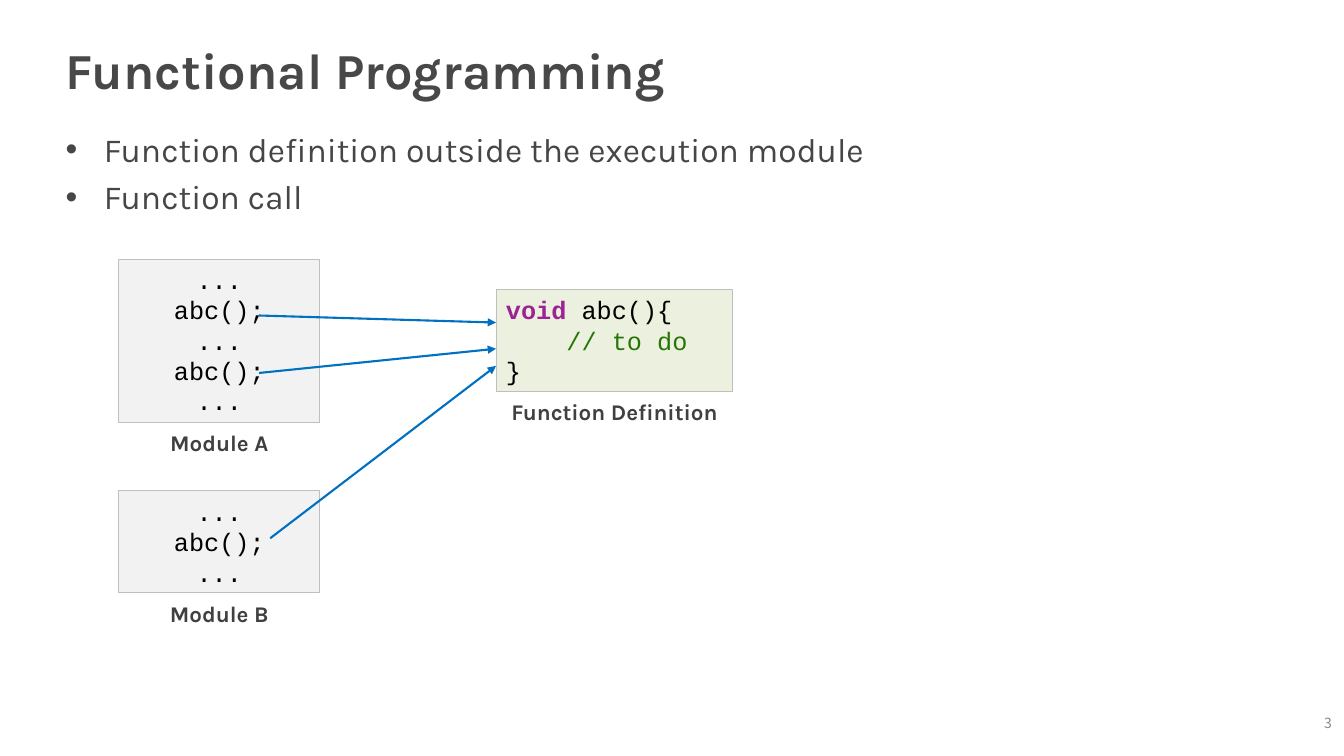
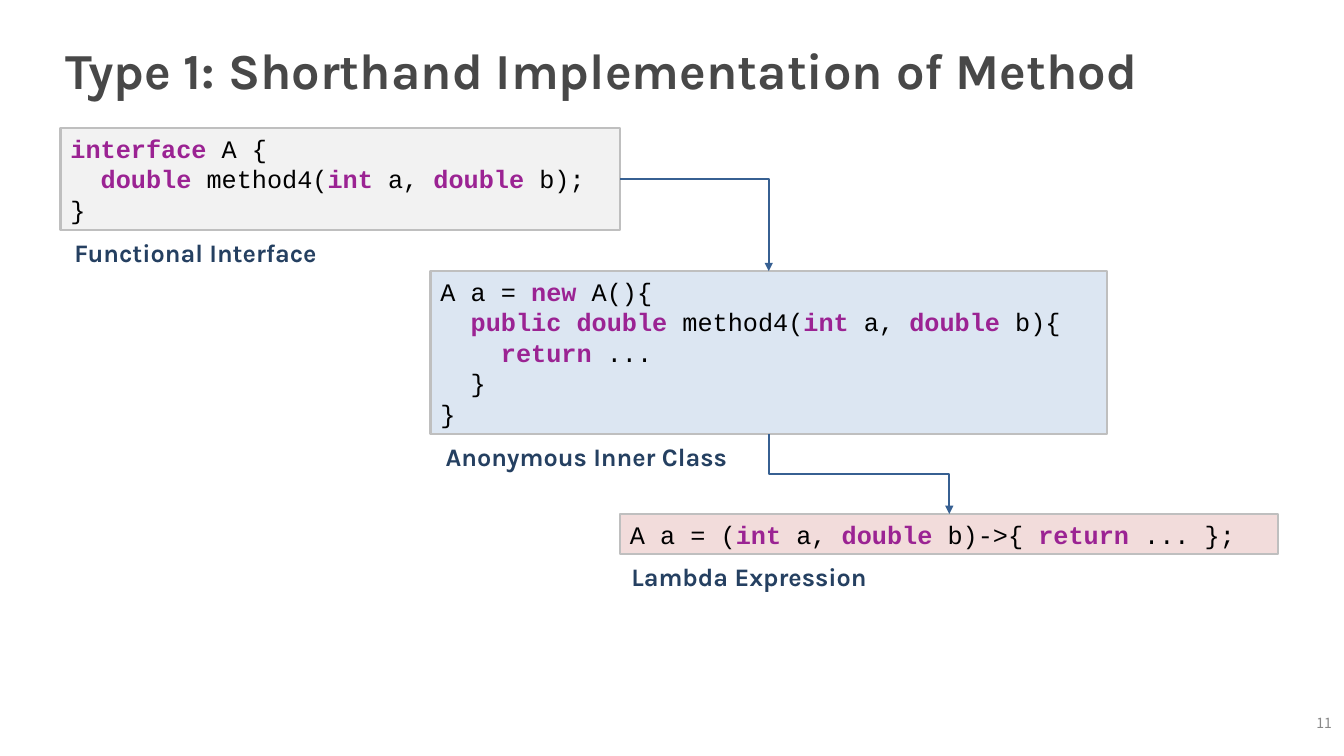
from dataclasses import dataclass
from itertools import groupby

from lxml import etree
from pptx import Presentation
from pptx.dml.color import RGBColor
from pptx.enum.shapes import MSO_CONNECTOR, MSO_SHAPE
from pptx.enum.text import MSO_ANCHOR, MSO_AUTO_SIZE, PP_ALIGN
from pptx.oxml.ns import qn
from pptx.util import Inches, Pt

LEFT, CENTER, RIGHT = PP_ALIGN.LEFT, PP_ALIGN.CENTER, PP_ALIGN.RIGHT
TOP, MIDDLE = MSO_ANCHOR.TOP, MSO_ANCHOR.MIDDLE
STRAIGHT, ELBOW = MSO_CONNECTOR.STRAIGHT, MSO_CONNECTOR.ELBOW
SIDE_TOP, SIDE_BOTTOM, SIDE_RIGHT = 0, 2, 3


@dataclass(frozen=True)
class Theme:
    text_font: str = "Karla"
    code_font: str = "Courier New"
    number_font: str = "Noto Sans CJK KR"
    title_size: float = 36
    body_size: float = 24
    code_size: float = 18
    code_leading: float = 21.7
    number_size: float = 10
    title: str = "484848"
    body: str = "464646"
    number: str = "888888"
    code: str = "000000"
    keyword: str = "9B2393"
    comment: str = "267507"
    border: str = "BFBFBF"
    gray: str = "F2F2F2"
    green: str = "EBF1DE"
    blue: str = "DCE6F2"
    red: str = "F2DCDB"
    call_arrow: str = "0070C0"
    step_arrow: str = "376092"
    arrow_width: float = 1.5


THEME = Theme()
KEYWORDS = {"void", "interface", "double", "int", "new", "public", "return"}

# Shared frame: left, top, width, height in inches
TITLE_AREA = (0.6, 0.29, 12.08, 0.79)
BODY_AREA = (0.6, 1.23, 12.08, 5.91)
NUMBER_AREA = (12.68, 7.04, 0.58, 0.27)
LABEL_GAP = 0.02

# Slide content
CALLS = {
    "title": "Functional Programming",
    "number": "3",
    "bullets": ["Function definition outside the execution module", "Function call"],
    "label": {"size": 16, "color": "404040", "height": 0.37},
    "border_width": 0.75,
    "boxes": [
        {"name": "Function Definition", "area": (4.92, 2.87, 2.35, 1.01),
         "fill": THEME.green, "align": LEFT,
         "code": ["void abc(){", "    // to do", "}"]},
        {"name": "Module A", "area": (1.18, 2.57, 1.99, 1.62),
         "fill": THEME.gray, "align": CENTER,
         "code": ["...", "abc();", "...", "abc();", "..."]},
        {"name": "Module B", "area": (1.18, 4.87, 1.99, 1.01),
         "fill": THEME.gray, "align": CENTER,
         "code": ["...", "abc();", "..."]},
    ],
}
CALL_ARROWS = [
    ((2.57, 3.13), (4.92, 3.2)),
    ((2.57, 3.7), (4.92, 3.46)),
    ((2.68, 5.34), (4.92, 3.63)),
]

SHORTHAND = {
    "title": "Type 1: Shorthand Implementation of Method",
    "number": "11",
    "bullets": [],
    "label": {"size": 18, "color": "254061", "height": 0.4},
    "border_width": 1.5,
    "boxes": [
        {"name": "Functional Interface", "area": (0.6, 1.27, 5.55, 1.01),
         "fill": THEME.gray, "align": LEFT, "label_width": 2.68,
         "code": ["interface A {", "  double method4(int a, double b);", "}"]},
        {"name": "Anonymous Inner Class", "area": (4.27, 2.69, 6.71, 1.62),
         "fill": THEME.blue, "align": LEFT, "label_width": 3.09,
         "code": ["A a = new A(){",
                  "  public double method4(int a, double b){",
                  "    return ...", "  }", "}"]},
        {"name": "Lambda Expression", "area": (6.15, 5.1, 6.53, 0.4),
         "fill": THEME.red, "align": LEFT, "label_width": 2.56,
         "code": ["A a = (int a, double b)->{ return ... };"]},
    ],
}


def inches(values):
    return [Inches(value) for value in values]


def style_font(font, name, size, color, bold=False):
    font.name, font.size, font.bold = name, Pt(size), bold
    font.color.rgb = RGBColor.from_string(color)


def set_frame(text_frame, anchor, side_inset=0.05, wrap=True):
    text_frame.auto_size = MSO_AUTO_SIZE.NONE
    text_frame.word_wrap = wrap
    text_frame.vertical_anchor = anchor
    text_frame.margin_left = text_frame.margin_right = Inches(side_inset)
    text_frame.margin_top = text_frame.margin_bottom = Inches(0.05)


def place(shape, area):
    shape.left, shape.top, shape.width, shape.height = inches(area)


def write_line(text_frame, text, align, *font_style):
    text_frame.text = text
    paragraph = text_frame.paragraphs[0]
    paragraph.alignment = align
    style_font(paragraph.runs[0].font, *font_style)


def add_text(slide, area, text, align, wrap, *font_style):
    box = slide.shapes.add_textbox(*inches(area))
    set_frame(box.text_frame, MIDDLE, wrap=wrap)
    write_line(box.text_frame, text, align, *font_style)


def fill_bullets(body, bullets):
    place(body, BODY_AREA)
    set_frame(body.text_frame, TOP)
    body.text_frame.text = "\n".join(bullets)
    for index, paragraph in enumerate(body.text_frame.paragraphs):
        properties = paragraph._p.get_or_add_pPr()
        properties.set("marL", str(Inches(0.38)))
        properties.set("indent", str(-Inches(0.38)))
        etree.SubElement(properties, qn("a:buChar"), char="•")
        paragraph.space_before = Pt(5 if index else 0)
        style_font(paragraph.runs[0].font, THEME.text_font, THEME.body_size, THEME.body)


def split_code(line):
    """Yield (text, color, bold) for each part of a line of code."""
    if line.lstrip().startswith("//"):
        yield line, THEME.comment, False
        return
    for _, letters in groupby(line, key=str.isalnum):
        word = "".join(letters)
        is_keyword = word in KEYWORDS
        yield word, THEME.keyword if is_keyword else THEME.code, is_keyword


def add_code_box(slide, box, border_width):
    shape = slide.shapes.add_shape(MSO_SHAPE.RECTANGLE, *inches(box["area"]))
    shape.shadow.inherit = False
    shape.fill.solid()
    shape.fill.fore_color.rgb = RGBColor.from_string(box["fill"])
    shape.line.color.rgb = RGBColor.from_string(THEME.border)
    shape.line.width = Pt(border_width)
    set_frame(shape.text_frame, TOP, side_inset=0.1)
    shape.text_frame.text = "\n".join(box["code"])
    for paragraph, line in zip(shape.text_frame.paragraphs, box["code"]):
        paragraph.alignment = box["align"]
        paragraph.line_spacing = Pt(THEME.code_leading)
        paragraph.clear()
        for text, color, bold in split_code(line):
            run = paragraph.add_run()
            run.text = text
            style_font(run.font, THEME.code_font, THEME.code_size, color, bold)
    return shape


def add_label(slide, box, label):
    left, top, width, height = box["area"]
    area = (left, top + height + LABEL_GAP, box.get("label_width", width), label["height"])
    add_text(slide, area, box["name"], CENTER, False,
             THEME.text_font, label["size"], label["color"], True)


def add_arrow(slide, kind, start, end, color):
    arrow = slide.shapes.add_connector(kind, *inches(start + end))
    arrow.line.color.rgb = RGBColor.from_string(color)
    arrow.line.width = Pt(THEME.arrow_width)
    etree.SubElement(arrow.line._get_or_add_ln(), qn("a:tailEnd"), type="triangle")
    etree.SubElement(arrow._element.spPr, qn("a:effectLst"))
    return arrow


def join_boxes(slide, source, source_side, target):
    arrow = add_arrow(slide, ELBOW, (0, 0), (1, 1), THEME.step_arrow)
    arrow.begin_connect(source, source_side)
    arrow.end_connect(target, SIDE_TOP)
    properties = arrow._element.spPr
    if source_side == SIDE_RIGHT:
        # One bend: right, then down
        properties.find(qn("a:prstGeom")).set("prst", "bentConnector2")
    else:
        # Two bends: down, right, down, as a turned and flipped elbow
        width, height = arrow.width, arrow.height
        shift = (width - height) // 2
        arrow.left, arrow.top = arrow.left + shift, arrow.top - shift
        arrow.width, arrow.height = height, width
        transform = properties.find(qn("a:xfrm"))
        transform.set("rot", str(270 * 60000))
        transform.set("flipH", "1")


def build_slide(presentation, content):
    """Add the title, bullets, page number, code boxes and labels."""
    bullets = content["bullets"]
    slide = presentation.slides.add_slide(presentation.slide_layouts[1 if bullets else 5])
    title = slide.shapes.title
    place(title, TITLE_AREA)
    set_frame(title.text_frame, MIDDLE)
    write_line(title.text_frame, content["title"], LEFT,
               THEME.text_font, THEME.title_size, THEME.title, True)
    if bullets:
        fill_bullets(slide.placeholders[1], bullets)
    add_text(slide, NUMBER_AREA, content["number"], RIGHT, True,
             THEME.number_font, THEME.number_size, THEME.number)
    shapes = []
    for box in content["boxes"]:
        shapes.append(add_code_box(slide, box, content["border_width"]))
        add_label(slide, box, content["label"])
    return slide, shapes


def main():
    presentation = Presentation()
    presentation.slide_width, presentation.slide_height = inches((13.33, 7.5))

    # Calls from two modules to one function
    slide, _ = build_slide(presentation, CALLS)
    for start, end in CALL_ARROWS:
        add_arrow(slide, STRAIGHT, start, end, THEME.call_arrow)

    # From interface to inner class to lambda
    slide, (interface, inner_class, lambda_box) = build_slide(presentation, SHORTHAND)
    join_boxes(slide, interface, SIDE_RIGHT, inner_class)
    join_boxes(slide, inner_class, SIDE_BOTTOM, lambda_box)

    presentation.save("out.pptx")


if __name__ == "__main__":
    main()
